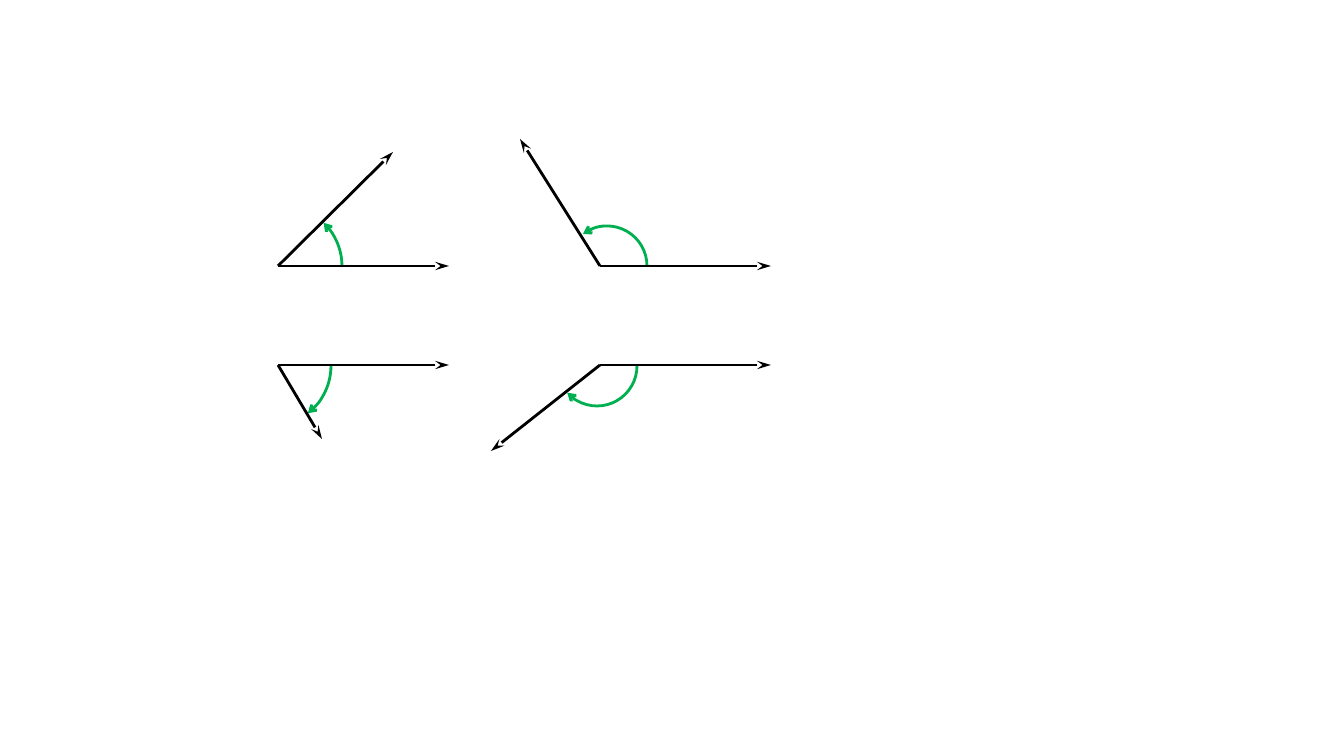
from lxml import etree
from pptx import Presentation
from pptx.dml.color import RGBColor
from pptx.enum.shapes import MSO_CONNECTOR as CONNECTOR, MSO_SHAPE as SHAPE
from pptx.oxml.ns import qn
from pptx.util import Pt

PX = 914400 / 100.8


def px(length):
    return round(length * PX)


def style_line(shape, color, end, **arrowhead):
    """Set colour and width, and put an arrowhead at headEnd or tailEnd."""
    shape.line.color.rgb = RGBColor.from_string(color)
    shape.line.width = Pt(2)
    etree.SubElement(shape.line._get_or_add_ln(), qn(f"a:{end}"), **arrowhead)


prs = Presentation()
prs.slide_width, prs.slide_height = px(1344), px(756)
slide = prs.slides.add_slide(prs.slide_layouts[6])

RAY_LENGTH = 171

# vertex, tip of the terminal side, arc centre, arc radius, arc start and end
# in degrees clockwise from the initial side, arc end that has the arrowhead
angles = [
    ((278, 266), (393, 152), (282, 266), 60, 314, 0, "headEnd"),
    ((600, 266), (520, 139), (607, 266), 40, 233, 0, "headEnd"),
    ((278, 365), (322, 439), (271, 366), 60, 0, 52, "tailEnd"),
    ((600, 365), (491, 451), (597, 366), 40, 0, 138, "tailEnd"),
]

for vertex, terminal_tip, center, radius, start, stop, arc_tip in angles:
    arc = slide.shapes.add_shape(
        SHAPE.ARC, px(center[0] - radius), px(center[1] - radius),
        px(2 * radius), px(2 * radius))
    arc.shadow.inherit = False
    arc.fill.background()
    # An adjustment of 1 is 100000 units, and a degree is 60000 units
    arc.adjustments[0] = start * 0.6
    arc.adjustments[1] = stop * 0.6
    style_line(arc, "00B050", arc_tip, type="arrow")

    initial_tip = (vertex[0] + RAY_LENGTH, vertex[1])
    for tip in (initial_tip, terminal_tip):
        side = slide.shapes.add_connector(
            CONNECTOR.STRAIGHT, *map(px, tip + vertex))
        style_line(side, "000000", "headEnd", type="stealth", w="med", len="lg")
        etree.SubElement(side._element.spPr, qn("a:effectLst"))

prs.save("out.pptx")
